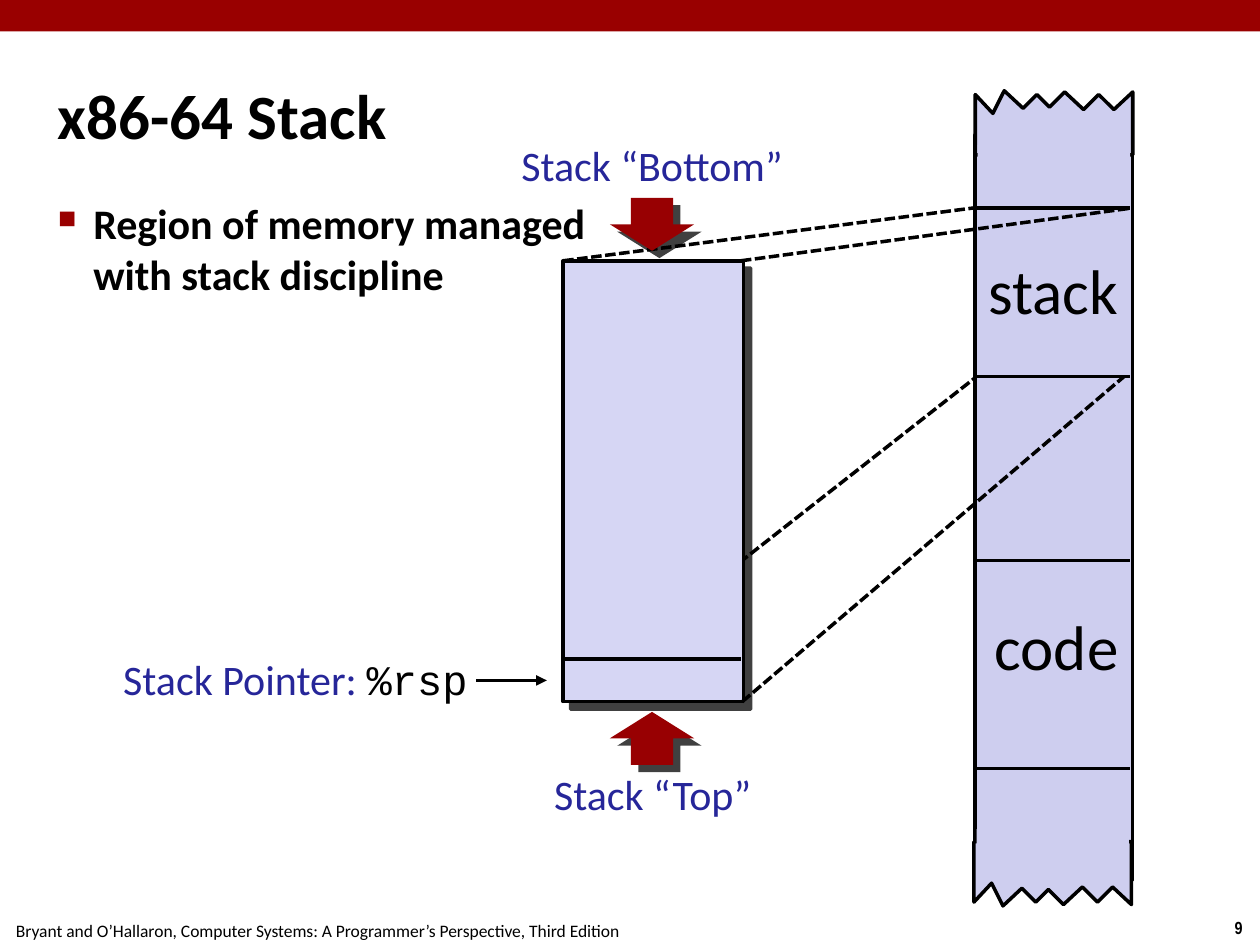
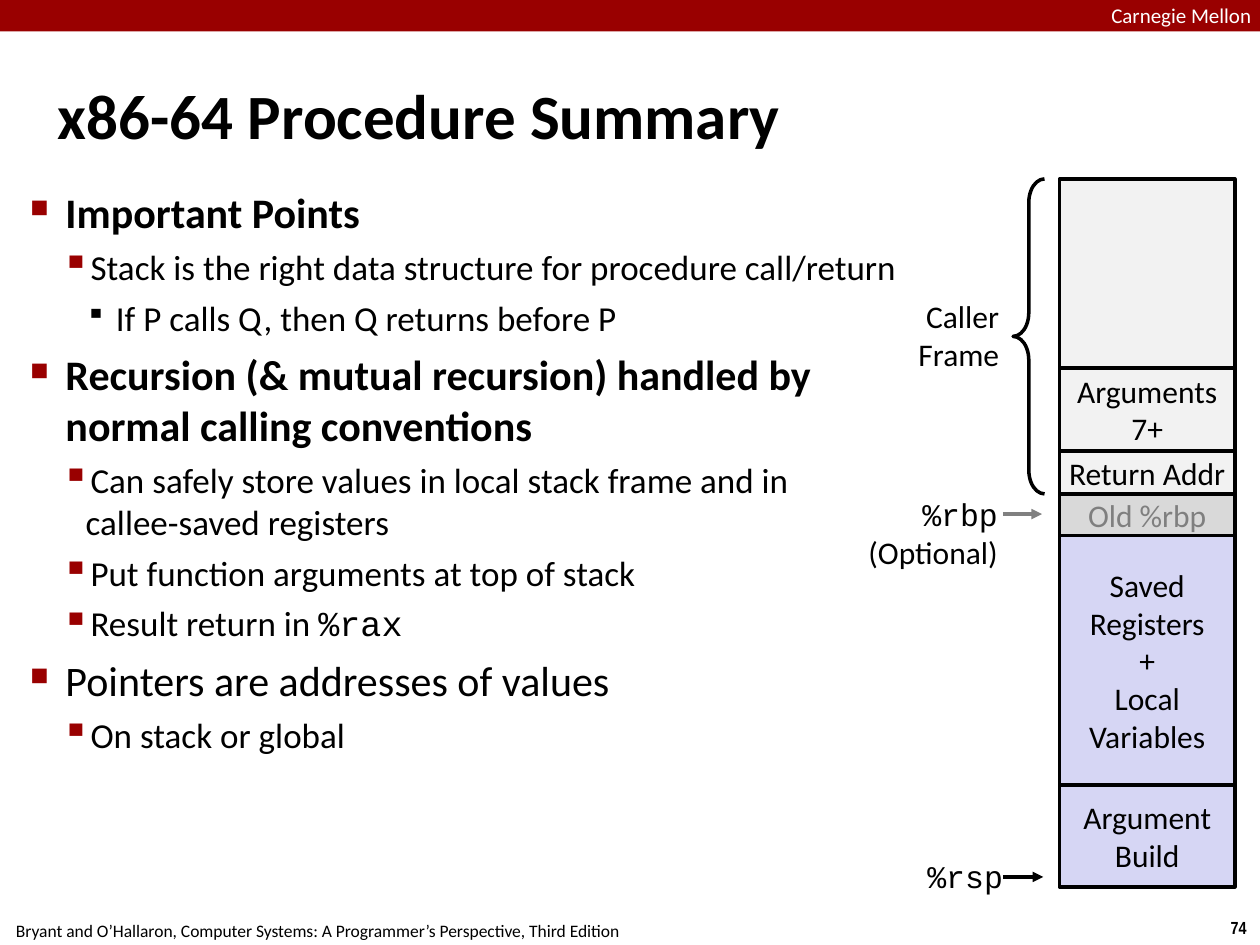
"""Build two slides on the x86-64 stack and its procedure conventions."""
from dataclasses import dataclass
from itertools import accumulate

from lxml.etree import SubElement
from pptx import Presentation
from pptx.dml.color import RGBColor
from pptx.enum.dml import MSO_LINE
from pptx.enum.shapes import MSO_CONNECTOR, MSO_SHAPE as Preset
from pptx.enum.text import MSO_ANCHOR as Anchor, MSO_AUTO_SIZE as AutoSize, PP_ALIGN as Align
from pptx.oxml.ns import qn
from pptx.util import Inches, Pt

SANS, MONO, NARROW = "Calibri", "Courier New", "Arial Narrow"
BLACK, WHITE, RED, BLUE = "000000", "FFFFFF", "990000", "262699"
LAVENDER, MEMORY = "D6D6F4", "CECEEF"
LIGHT, MIDDLE, DIMMED, GRAY = "F2F2F2", "D9D9D9", "7F7F7F", "808080"
CITATION = "Bryant and O’Hallaron, Computer Systems: A Programmer’s Perspective, Third Edition"


@dataclass
class Label:
    text: str
    box: tuple[float, float, float, float]
    size: int = 24
    color: str = BLUE
    align: Align = Align.CENTER
    font: str = SANS
    bold: bool = False
    insets: tuple[float, float] = (0.04, 0.04)
    wrap: bool = False


@dataclass
class Stroke:
    start: tuple[float, float]
    end: tuple[float, float]
    color: str = BLACK
    dashed: bool = False
    arrow: bool = False


@dataclass
class BulletStyle:
    char: str
    color: str
    percent: int
    margin: float
    hang: float
    size: int
    before: int


@dataclass
class Point:
    text: str
    level: int = 0
    bold: bool = False
    code: str = ""


@dataclass
class StackCell:
    text: str
    height: float
    fill: str
    color: str = BLACK


BULLETS = (
    BulletStyle("■", RED, 60, 0.28, 0.28, 24, 6),
    BulletStyle("▪", RED, 110, 0.44, 0.19, 20, 5),
    BulletStyle("▪", BLACK, 80, 0.68, 0.24, 20, 5),
)
TEETH = ((1.25, 0.5), (1.1, 0.36), (0.98, 0.48), (0.86, 0.36), (0.71, 0.5), (0.59, 0.38),
         (0.49, 0.48), (0.38, 0.37), (0.23, 0.51), (0.14, 0.33), (0, 0.48))
POINTS = (
    Point("Important Points", bold=True),
    Point("Stack is the right data structure for procedure call/return", 1),
    Point("If P calls Q, then Q returns before P", 2),
    Point("Recursion (& mutual recursion) handled by normal calling conventions", bold=True),
    Point("Can safely store values in local stack frame and in \vcallee-saved registers", 1),
    Point("Put function arguments at top of stack", 1),
    Point("Result return in ", 1, code="%rax"),
    Point("Pointers are addresses of values"),
    Point("On stack or global", 1),
)
FRAME = (
    StackCell("", 1.5, LIGHT),
    StackCell("Arguments\n7+", 0.66, LIGHT),
    StackCell("Return Addr", 0.34, LIGHT),
    StackCell("Old %rbp", 0.33, MIDDLE, DIMMED),
    StackCell("Saved\nRegisters\n+\nLocal\nVariables", 1.98, LAVENDER),
    StackCell("Argument\nBuild", 0.81, LAVENDER),
)


def rgb(color: str) -> RGBColor:
    """Turn a hex string into a colour."""
    return RGBColor.from_string(color)


def style(paragraph, size: int, color: str, font: str = SANS, bold: bool = False) -> None:
    """Set the font of a whole paragraph."""
    paragraph.font.size = Pt(size)
    paragraph.font.name = font
    paragraph.font.bold = bold
    paragraph.font.color.rgb = rgb(color)


def set_insets(frame, across: float, down: float) -> None:
    """Set the four insets of a text frame."""
    frame.margin_left = frame.margin_right = Inches(across)
    frame.margin_top = frame.margin_bottom = Inches(down)


def add_label(slide, label: Label):
    """Draw a text box and return its text frame."""
    frame = slide.shapes.add_textbox(*map(Inches, label.box)).text_frame
    frame.word_wrap = label.wrap
    frame.auto_size = AutoSize.NONE if label.wrap else AutoSize.SHAPE_TO_FIT_TEXT
    set_insets(frame, *label.insets)
    frame.text = label.text
    for paragraph in frame.paragraphs:
        paragraph.alignment = label.align
        style(paragraph, label.size, label.color, label.font, label.bold)
    return frame


def paint(shape, fill: str | None, line: str | None = None) -> None:
    """Set fill and outline and remove the theme shadow."""
    shape.shadow.inherit = False
    if fill:
        shape.fill.solid()
        shape.fill.fore_color.rgb = rgb(fill)
    else:
        shape.fill.background()
    if line:
        shape.line.color.rgb = rgb(line)
        shape.line.width = Pt(2)
    else:
        shape.line.fill.background()


def add_block(slide, preset: Preset, box: tuple, fill: str | None, line: str | None = None):
    """Draw a preset shape."""
    block = slide.shapes.add_shape(preset, *map(Inches, box))
    paint(block, fill, line)
    return block


def cast_shadow(shape) -> None:
    """Give a shape a hard shadow to the lower right."""
    effects = shape._element.spPr.find(qn("a:effectLst"))
    shadow = SubElement(effects, qn("a:outerShdw"), dist=str(Pt(6)), dir="2700000",
                        algn="ctr", rotWithShape="0")
    tint = SubElement(shadow, qn("a:srgbClr"), val=BLACK)
    SubElement(tint, qn("a:alpha"), val="75000")


def add_stroke(slide, stroke: Stroke) -> None:
    """Draw a straight line or arrow."""
    connector = slide.shapes.add_connector(
        MSO_CONNECTOR.STRAIGHT, *map(Inches, stroke.start + stroke.end))
    connector.line.color.rgb = rgb(stroke.color)
    connector.line.width = Pt(2)
    if stroke.dashed:
        connector.line.dash_style = MSO_LINE.SQUARE_DOT
    properties = connector._element.spPr
    if stroke.arrow:
        SubElement(properties.find(qn("a:ln")), qn("a:tailEnd"), type="triangle")
    SubElement(properties, qn("a:effectLst"))


def add_points(slide, box: tuple, points: tuple[Point, ...]) -> None:
    """Draw a bulleted list."""
    frame = slide.shapes.add_textbox(*map(Inches, box)).text_frame
    frame.word_wrap = True
    set_insets(frame, 0.04, 0.04)
    for index, point in enumerate(points):
        bullet = BULLETS[point.level]
        paragraph = frame.add_paragraph() if index else frame.paragraphs[0]
        paragraph.text = point.text
        paragraph.level = point.level
        if index:
            paragraph.space_before = Pt(bullet.before)
        properties = paragraph._p.get_or_add_pPr()
        properties.set("marL", str(Inches(bullet.margin)))
        properties.set("indent", str(-Inches(bullet.hang)))
        SubElement(SubElement(properties, qn("a:buClr")), qn("a:srgbClr"), val=bullet.color)
        SubElement(properties, qn("a:buSzPct"), val=str(bullet.percent * 1000))
        SubElement(properties, qn("a:buChar"), char=bullet.char)
        style(paragraph, bullet.size, BLACK, bold=point.bold)
        if point.code:
            code = paragraph.add_run()
            code.text = point.code
            code.font.name = MONO


def start_slide(deck, title: str, number: int):
    """Add a slide with band, title, citation and number."""
    slide = deck.slides.add_slide(deck.slide_layouts[5])
    add_block(slide, Preset.RECTANGLE, (0, 0, 10, 0.25), RED)
    heading = slide.shapes.title
    heading.left, heading.top, heading.width, heading.height = map(Inches, (0.42, 0.28, 9.17, 1.25))
    frame = heading.text_frame
    frame.text = title
    frame.vertical_anchor = Anchor.MIDDLE
    frame.auto_size = AutoSize.NONE
    set_insets(frame, 0.04, 0.04)
    frame.paragraphs[0].alignment = Align.LEFT
    style(frame.paragraphs[0], 36, BLACK, bold=True)
    add_label(slide, Label(CITATION, (-0.02, 7.25, 5.08, 0.27), 10, BLACK, insets=(0.1, 0.05)))
    add_label(slide, Label(str(number), (9.66, 7.23, 0.34, 0.27), 10, BLACK, font=NARROW,
                           bold=True, insets=(0.1, 0.05)))
    return slide


def add_torn_edge(slide, left: float, base: float, direction: int) -> None:
    """Draw a ragged end of memory and hide its straight seam."""
    outline = [(left + x, base + direction * y) for x, y in ((1.25, 0), *TEETH)]
    builder = slide.shapes.build_freeform(Inches(left), Inches(base))
    builder.add_line_segments([(Inches(x), Inches(y)) for x, y in outline], close=True)
    paint(builder.convert_to_shape(), MEMORY, BLACK)
    seam_top = base - 0.08 if direction < 0 else base - 0.1
    add_block(slide, Preset.RECTANGLE, (left + 0.02, seam_top, 1.21, 0.18), MEMORY)


def build_stack_slide(deck) -> None:
    """Show the stack as a region of memory."""
    slide = start_slide(deck, "x86-64 Stack", 9)
    add_stroke(slide, Stroke((4.47, 2.07), (7.73, 1.65), dashed=True))
    add_stroke(slide, Stroke((4.46, 5.57), (7.75, 2.99), dashed=True))
    add_points(slide, (0.42, 1.53, 4.88, 5.6),
               (Point("Region of memory managed with stack discipline", bold=True),))
    add_stroke(slide, Stroke((3.78, 5.4), (4.34, 5.4), arrow=True))
    pointer = add_label(slide, Label("Stack Pointer: ", (0.87, 5.15, 2.88, 0.5), align=Align.RIGHT))
    register = pointer.paragraphs[0].add_run()
    register.text = "%rsp"
    register.font.name = MONO
    register.font.color.rgb = rgb(BLACK)

    cast_shadow(add_block(slide, Preset.RECTANGLE, (4.47, 2.07, 1.43, 3.5), LAVENDER, BLACK))
    add_stroke(slide, Stroke((4.46, 5.23), (5.88, 5.23)))
    add_label(slide, Label("Stack “Top”", (4.33, 6.06, 1.7, 0.49)))
    add_label(slide, Label("Stack “Bottom”", (4.06, 1.07, 2.23, 0.49)))
    for preset, top in ((Preset.DOWN_ARROW, 1.57), (Preset.UP_ARROW, 5.65)):
        cast_shadow(add_block(slide, preset, (4.84, top, 0.67, 0.42), "980002"))

    add_block(slide, Preset.RECTANGLE, (7.74, 1.07, 1.25, 5.92), MEMORY, BLACK)
    add_torn_edge(slide, 7.74, 1.23, -1)
    add_torn_edge(slide, 7.73, 6.68, 1)
    for border in (1.65, 2.99, 4.45, 6.1):
        add_stroke(slide, Stroke((7.74, border), (8.97, border)))
    for name, box in (("code", (7.79, 4.77, 1.19, 0.71)), ("stack", (7.74, 1.95, 1.24, 0.71))):
        add_label(slide, Label(name, box, 36, BLACK, insets=(0.1, 0.05)))
    add_stroke(slide, Stroke((5.88, 2.07), (8.99, 1.65), dashed=True))
    add_stroke(slide, Stroke((5.89, 5.57), (8.92, 2.99), dashed=True))


def build_summary_slide(deck) -> None:
    """Summarise procedures beside a stack frame."""
    slide = start_slide(deck, "x86-64 Procedure Summary", 74)
    add_label(slide, Label("Carnegie Mellon", (8.82, 0.02, 1.44, 0.19), 12, WHITE, Align.LEFT,
                           insets=(0, 0), wrap=True))
    add_points(slide, (0.2, 1.44, 7.13, 5.72), POINTS)

    tops = accumulate((cell.height for cell in FRAME), initial=1.42)
    for cell, top in zip(FRAME, tops):
        block = add_block(slide, Preset.RECTANGLE, (8.41, top, 1.39, cell.height), cell.fill, BLACK)
        if cell.text:
            frame = block.text_frame
            frame.text = cell.text
            frame.vertical_anchor = Anchor.MIDDLE
            set_insets(frame, 0, 0)
            for paragraph in frame.paragraphs:
                paragraph.alignment = Align.CENTER
                style(paragraph, 18, cell.color)

    add_label(slide, Label("Caller\nFrame", (7.22, 2.32, 0.75, 0.69), 18, BLACK, Align.RIGHT))
    brace = add_block(slide, Preset.LEFT_BRACE, (8.04, 1.42, 0.25, 2.5), None, BLACK)
    brace.adjustments[0] = 0.75
    add_stroke(slide, Stroke((7.96, 4.08), (8.27, 4.08), GRAY, arrow=True))
    base_pointer = add_label(slide, Label("%rbp\n(Optional)", (6.25, 3.89, 1.71, 0.36), 18, BLACK,
                                          Align.RIGHT, wrap=True))
    base_pointer.paragraphs[0].font.name = MONO
    add_stroke(slide, Stroke((7.96, 6.96), (8.28, 6.96), arrow=True))
    add_label(slide, Label("%rsp", (6.38, 6.76, 1.62, 0.36), 18, BLACK, Align.RIGHT, MONO,
                           wrap=True))


def main() -> None:
    """Build and save the deck."""
    deck = Presentation()
    deck.slide_width, deck.slide_height = Inches(10), Inches(7.5)
    build_stack_slide(deck)
    build_summary_slide(deck)
    deck.save("out.pptx")


if __name__ == "__main__":
    main()
